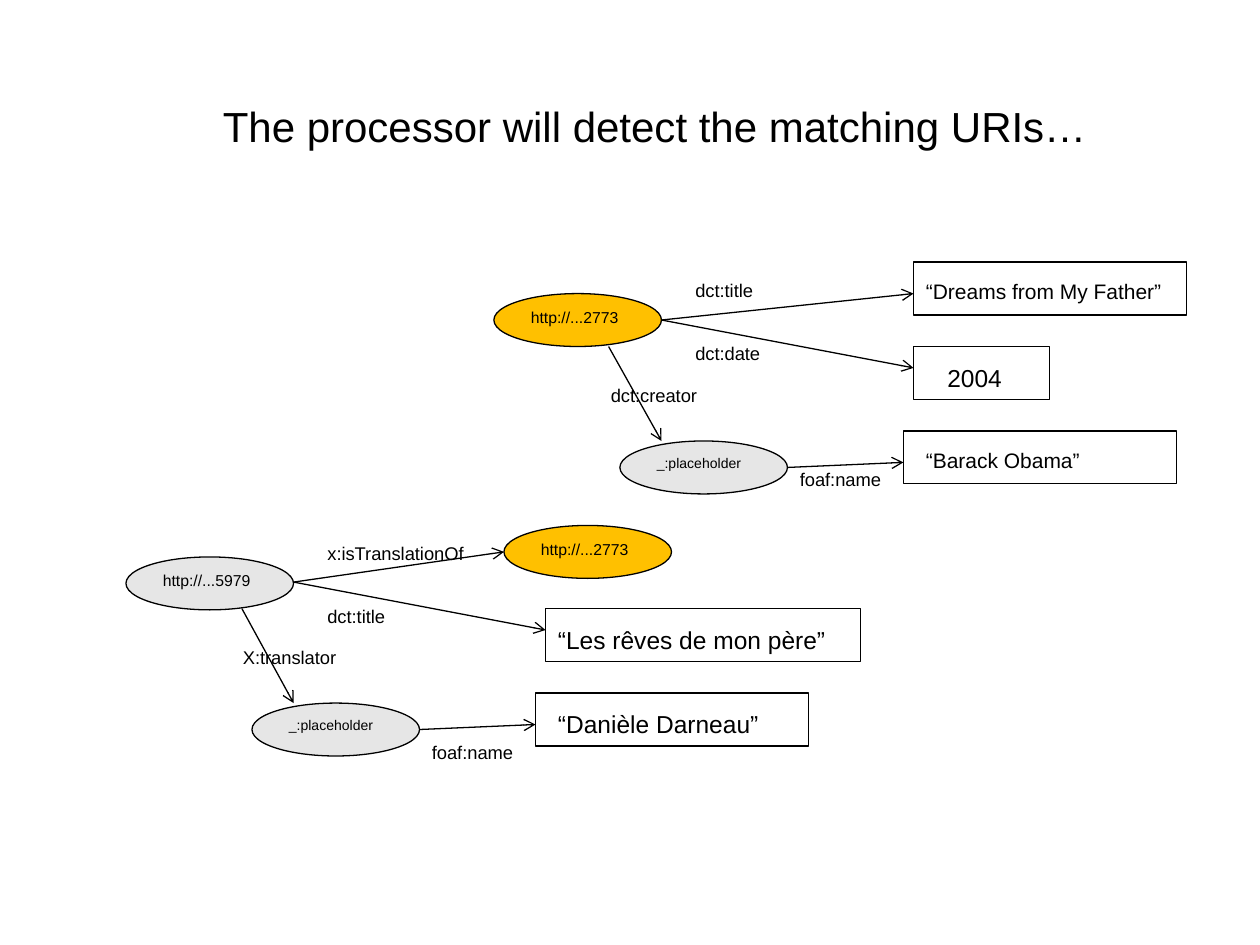
from dataclasses import dataclass

from lxml.etree import SubElement
from pptx import Presentation
from pptx.dml.color import RGBColor
from pptx.enum.shapes import MSO_CONNECTOR, MSO_SHAPE
from pptx.enum.text import MSO_ANCHOR, MSO_AUTO_SIZE, PP_ALIGN
from pptx.oxml.ns import qn
from pptx.util import Inches, Pt

COLOURS = {"ink": "000000", "match": "FFC000", "plain": "E6E6E6"}
FONT = "Arial"
LINE_WIDTH = Pt(0.75)
NODE_WIDTH = 1.33
ROW_HEIGHT = 0.42
LITERAL_TEXT_DROP = 0.08


@dataclass
class Node:
    left: float
    top: float
    text: str
    size: float = 9
    fill: str = "plain"


@dataclass
class Label:
    left: float
    top: float
    width: float
    text: str
    size: float = 10.5
    height: float = 0.28


@dataclass
class Literal:
    left: float
    top: float
    width: float
    text: str
    size: float
    text_left: float
    text_width: float


@dataclass
class Arrow:
    start: tuple[float, float]
    end: tuple[float, float]


@dataclass
class Graph:
    nodes: list[Node]
    arrows: list[Arrow]
    labels: list[Label]
    literals: list[Literal]


ORIGINAL_WORK = Graph(
    nodes=[
        Node(3.92, 2.33, "http://...2773", fill="match"),
        Node(4.92, 3.5, "_:placeholder", size=8),
    ],
    arrows=[
        Arrow((4.83, 2.75), (5.25, 3.5)),
        Arrow((5.25, 2.54), (7.25, 2.33)),
        Arrow((5.25, 2.54), (7.25, 2.92)),
        Arrow((6.25, 3.71), (7.17, 3.67)),
    ],
    labels=[
        Label(4.75, 3, 0.93, "dct:creator"),
        Label(5.42, 2.67, 0.73, "dct:date"),
        Label(5.42, 2.17, 0.67, "dct:title"),
        Label(6.25, 3.67, 0.86, "foaf:name"),
    ],
    literals=[
        Literal(7.25, 2.08, 2.17, "“Dreams from My Father”", 12, 7.25, 2.09),
        Literal(7.25, 2.75, 1.08, "2004", 14, 7.42, 0.64),
        Literal(7.17, 3.42, 2.17, "“Barack Obama”", 12, 7.25, 1.43),
    ],
)

TRANSLATION = Graph(
    nodes=[
        Node(1, 4.42, "http://...5979"),
        Node(2, 5.58, "_:placeholder", size=8),
        Node(4, 4.17, "http://...2773", fill="match"),
    ],
    arrows=[
        Arrow((1.92, 4.83), (2.33, 5.58)),
        Arrow((2.33, 4.62), (4, 4.38)),
        Arrow((2.33, 4.62), (4.33, 5)),
        Arrow((3.33, 5.79), (4.25, 5.75)),
    ],
    labels=[
        Label(1.83, 5.08, 0.96, "X:translator"),
        Label(2.5, 4.75, 0.67, "dct:title"),
        Label(2.5, 4.25, 1.31, "x:isTranslationOf"),
        Label(3.33, 5.83, 0.86, "foaf:name"),
    ],
    literals=[
        Literal(4.33, 4.83, 2.5, "“Les rêves de mon père”", 14, 4.33, 2.34),
        Literal(4.25, 5.5, 2.17, "“Danièle Darneau”", 14, 4.33, 1.8),
    ],
)


def colour(name: str) -> RGBColor:
    return RGBColor.from_string(COLOURS[name])


def write(frame, text: str, size: float, **frame_format) -> None:
    """Put one left-aligned span in a text frame and apply the frame settings."""
    for name, value in frame_format.items():
        setattr(frame, name, value)
    para = frame.paragraphs[0]
    para.alignment = PP_ALIGN.LEFT
    span = para.add_run()
    span.text = text
    for name, value in {"name": FONT, "size": Pt(size)}.items():
        setattr(span.font, name, value)
    span.font.color.rgb = colour("ink")


def outline(item) -> None:
    item.line.color.rgb = colour("ink")
    item.line.width = LINE_WIDTH


def add_outlined(page, kind, left: float, top: float, width: float):
    shape = page.shapes.add_shape(
        kind, Inches(left), Inches(top), Inches(width), Inches(ROW_HEIGHT)
    )
    shape.shadow.inherit = False
    outline(shape)
    return shape


def add_node(page, node: Node) -> None:
    oval = add_outlined(page, MSO_SHAPE.OVAL, node.left, node.top, NODE_WIDTH)
    oval.fill.solid()
    oval.fill.fore_color.rgb = colour(node.fill)
    write(oval.text_frame, node.text, node.size,
          word_wrap=True, vertical_anchor=MSO_ANCHOR.TOP)


def add_arrow(page, arrow: Arrow) -> None:
    points = [Inches(value) for value in (*arrow.start, *arrow.end)]
    connector = page.shapes.add_connector(MSO_CONNECTOR.STRAIGHT, *points)
    outline(connector)
    properties = connector._element.spPr
    SubElement(properties.find(qn("a:ln")), qn("a:tailEnd"), type="arrow")
    SubElement(properties, qn("a:effectLst"))


def add_label(page, label: Label) -> None:
    box = page.shapes.add_textbox(
        Inches(label.left), Inches(label.top), Inches(label.width), Inches(label.height)
    )
    write(box.text_frame, label.text, label.size,
          word_wrap=False, auto_size=MSO_AUTO_SIZE.SHAPE_TO_FIT_TEXT)


def add_literal(page, literal: Literal) -> None:
    """Draw an unfilled frame with its value in a text box on top."""
    frame = add_outlined(
        page, MSO_SHAPE.RECTANGLE, literal.left, literal.top, literal.width
    )
    frame.fill.background()
    height = 0.3 if literal.size == 12 else 0.34
    add_label(page, Label(literal.text_left, literal.top + LITERAL_TEXT_DROP,
                          literal.text_width, literal.text, literal.size, height))


def add_graph(page, graph: Graph) -> None:
    for items, draw in (
        (graph.nodes, add_node),
        (graph.arrows, add_arrow),
        (graph.labels, add_label),
        (graph.literals, add_literal),
    ):
        for item in items:
            draw(page, item)


def main() -> None:
    deck = Presentation()
    deck.slide_width, deck.slide_height = Inches(10), Inches(7.5)
    page = deck.slides.add_slide(deck.slide_layouts[6])
    title = page.shapes.add_textbox(Inches(1.67), Inches(0.2), Inches(7.6), Inches(1.59))
    write(title.text_frame, "The processor will detect the matching URIs…", 24,
          word_wrap=True, vertical_anchor=MSO_ANCHOR.MIDDLE)
    for graph in (ORIGINAL_WORK, TRANSLATION):
        add_graph(page, graph)
    deck.save("out.pptx")


if __name__ == "__main__":
    main()
